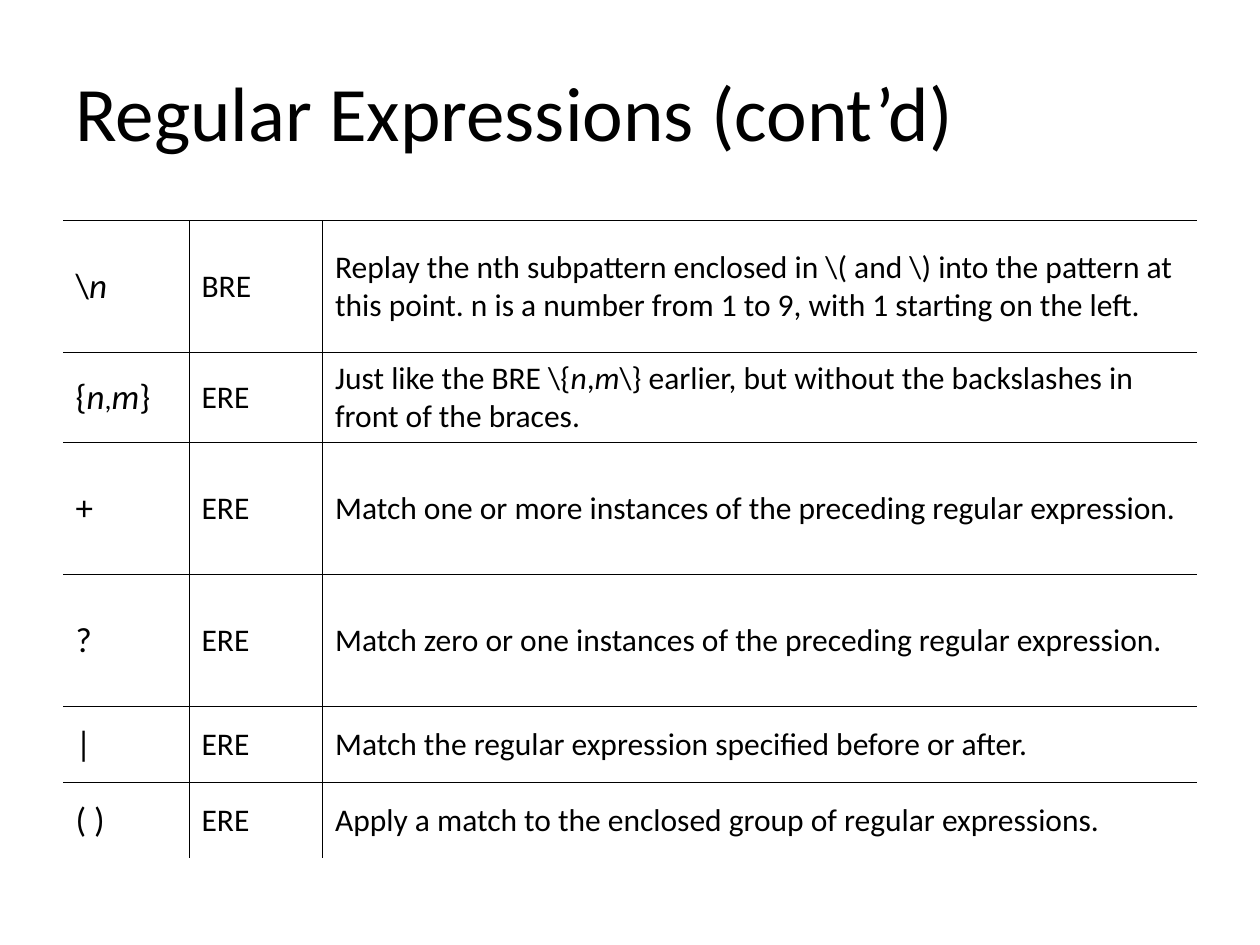
import dataclasses

import pptx
import pptx.dml.color
import pptx.enum.text
import pptx.oxml
import pptx.oxml.ns
import pptx.util
from pptx.util import Inches


@dataclasses.dataclass(frozen=True)
class Theme:
    font: str = "Calibri"
    ink: str = "000000"
    title_size: float = 44
    symbol_size: float = 20
    body_size: float = 18
    comma_size: float = 16
    border_width: float = 0.45


theme = Theme()


def write_text(text_frame, text, size, line_spacing=None, sizes=None):
    """Fill a frame with one paragraph; text is a string or (piece, italic) pairs.

    sizes gives a different size to the pieces it names.
    """
    text_frame.word_wrap = True
    text_frame.vertical_anchor = pptx.enum.text.MSO_ANCHOR.MIDDLE
    paragraph = text_frame.paragraphs[0]
    paragraph.alignment = pptx.enum.text.PP_ALIGN.LEFT
    if line_spacing:
        paragraph.line_spacing = line_spacing
    pieces = [(text, False)] if isinstance(text, str) else text
    for piece, italic in pieces:
        run = paragraph.add_run()
        run.text = piece
        run.font.name = theme.font
        run.font.size = pptx.util.Pt((sizes or {}).get(piece, size))
        run.font.bold = False
        run.font.italic = italic
        run.font.color.rgb = pptx.dml.color.RGBColor.from_string(theme.ink)


def set_borders(cell, visible):
    """Draw the sides named in visible (letters of LRTB) and clear the others."""
    properties = cell._tc.get_or_add_tcPr()
    for position, side in enumerate("LRTB"):
        fill = "<a:noFill/>"
        if side in visible:
            fill = f'<a:solidFill><a:srgbClr val="{theme.ink}"/></a:solidFill>'
        line = pptx.oxml.parse_xml(
            f'<a:ln{side} {pptx.oxml.ns.nsdecls("a")} '
            f'w="{pptx.util.Pt(theme.border_width)}">{fill}</a:ln{side}>'
        )
        properties.insert(position, line)


presentation = pptx.Presentation()
presentation.slide_width = Inches(10)
presentation.slide_height = Inches(7.5)
slide = presentation.slides.add_slide(presentation.slide_layouts[6])

title = slide.shapes.add_textbox(Inches(0.5), Inches(0.3), Inches(9), Inches(1.25))
write_text(title.text_frame, "Regular Expressions (cont’d)",
           size=theme.title_size, line_spacing=0.9)

expressions = [
    ([("\\", False), ("n", True)], "BRE",
     "Replay the nth subpattern enclosed in \\( and \\) into the pattern at this point. "
     "n is a number from 1 to 9, with 1 starting on the left."),
    ([("{", False), ("n", True), (",", False), ("m", True), ("}", False)], "ERE",
     [("Just like the BRE \\{", False), ("n", True), (",", False), ("m", True),
      ("\\} earlier, but without the backslashes in front of the braces.", False)]),
    ("+", "ERE", "Match one or more instances of the preceding regular expression."),
    ("?", "ERE", "Match zero or one instances of the preceding regular expression."),
    ("|", "ERE", "Match the regular expression specified before or after."),
    ("( )", "ERE", "Apply a match to the enclosed group of regular expressions."),
]
column_widths = [1, 1.06, 6.94]
row_heights = [1.05, 0.71, 1.05, 1.05, 0.6, 0.6]

table = slide.shapes.add_table(
    len(row_heights), len(column_widths), Inches(0.5), Inches(1.75),
    Inches(sum(column_widths)), Inches(sum(row_heights)),
).table
table.first_row = False
table.horz_banding = False
for column, width in zip(table.columns, column_widths):
    column.width = Inches(width)
for row, height in zip(table.rows, row_heights):
    row.height = Inches(height)

last_row, last_column = len(row_heights) - 1, len(column_widths) - 1
for row_index, expression in enumerate(expressions):
    for column_index, text in enumerate(expression):
        cell = table.cell(row_index, column_index)
        cell.fill.background()
        cell.vertical_anchor = pptx.enum.text.MSO_ANCHOR.MIDDLE
        if column_index == 0:
            write_text(cell.text_frame, text, size=theme.symbol_size,
                       sizes={",": theme.comma_size})
        else:
            write_text(cell.text_frame, text, size=theme.body_size)
        visible = "T"
        if column_index > 0:
            visible += "L"
        if column_index < last_column:
            visible += "R"
        if row_index < last_row:
            visible += "B"
        set_borders(cell, visible)

presentation.save("out.pptx")
